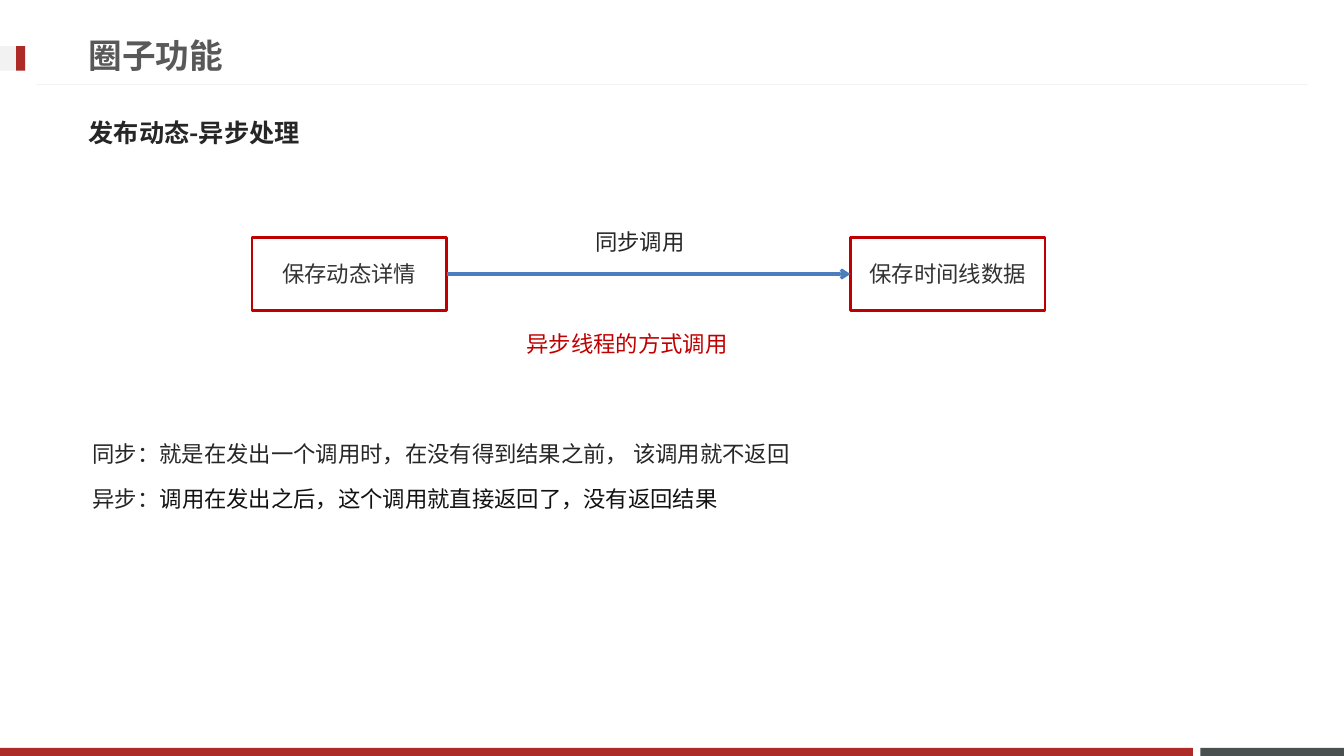
"""Build the slide on publishing posts with asynchronous processing."""
from lxml import etree
from pptx import Presentation
from pptx import util as u
from pptx.dml.color import RGBColor
from pptx.enum import lang, shapes, text
from pptx.oxml import ns

Pt = u.Pt
BRICK = RGBColor(0xAD, 0x2B, 0x26)
SLATE = RGBColor(0x49, 0x50, 0x4F)
PALE = RGBColor(0xF2, 0xF2, 0xF2)
GREY = RGBColor(0x59, 0x59, 0x59)
DARK = RGBColor(0x26, 0x26, 0x26)
BOX_TEXT = RGBColor(0x33, 0x33, 0x33)
INK = RGBColor(0x12, 0x12, 0x12)
RED = RGBColor(0xC0, 0x00, 0x00)
BLUE = RGBColor(0x4B, 0x7E, 0xBC)
CJK = "Noto Sans CJK JP"


def style(font, size, color, name=CJK, bold=False):
    font.size, font.bold, font.name = Pt(size), bold, name
    font.color.rgb = color
    font.language_id = lang.MSO_LANGUAGE_ID.SIMPLIFIED_CHINESE
    ea = etree.Element(ns.qn("a:ea"), typeface=CJK)
    font._element.find(ns.qn("a:latin")).addnext(ea)


def add_line(x1, y1, x2, y2, color, width):
    c = s.shapes.add_connector(
        shapes.MSO_CONNECTOR.STRAIGHT, Pt(x1), Pt(y1), Pt(x2), Pt(y2))
    c.line.color.rgb, c.line.width = color, Pt(width)
    etree.SubElement(c._element.spPr, ns.qn("a:effectLst"))
    return c


prs = Presentation()
prs.slide_width, prs.slide_height = Pt(960), Pt(540)
s = prs.slides.add_slide(prs.slide_layouts[3])

for x, y, w, h, color in [
    (857.5, 534.25, 102.5, 5.75, SLATE),
    (0, 534.25, 852, 5.75, BRICK),
    (0, 33, 18, 17.5, PALE),
    (11.5, 33, 6.5, 17.5, BRICK),
]:
    sp = s.shapes.add_shape(shapes.MSO_SHAPE.RECTANGLE, Pt(x), Pt(y), Pt(w), Pt(h))
    sp.shadow.inherit = False
    sp.fill.solid()
    sp.fill.fore_color.rgb = color
    sp.line.fill.background()
add_line(934.5, 60.25, 25.5, 60.25, PALE, 0.75)

title, subtitle, body = s.placeholders
for sp, x, y, w, h, anchor in [
    (title, 56.2, 18.7, 690.5, 41, text.MSO_ANCHOR.MIDDLE),
    (subtitle, 56.2, 74.2, 842.4, 41, text.MSO_ANCHOR.MIDDLE),
    (body, 59, 301, 842.4, 87, text.MSO_ANCHOR.TOP),
]:
    sp.left, sp.top, sp.width, sp.height = Pt(x), Pt(y), Pt(w), Pt(h)
    sp.text_frame.vertical_anchor = anchor
    sp.text_frame.auto_size = text.MSO_AUTO_SIZE.NONE

title.text_frame.text = "圈子功能"
subtitle.text_frame.text = "发布动态-异步处理"
body.text_frame.text = "同步：就是在发出一个调用时，在没有得到结果之前， 该调用就不返回\n异步："
p = title.text_frame.paragraphs[0]
p.alignment = text.PP_ALIGN.LEFT
style(p.font, 24, GREY, "Lato", True)
p = subtitle.text_frame.paragraphs[0]
style(p.font, 18, DARK, bold=True)
sync, later = body.text_frame.paragraphs
later.add_run().text = "调用在发出之后，这个调用就直接返回了，没有返回结果"
style(sync.font, 16, DARK)
for r, color, name in zip(later.runs, (DARK, INK), (CJK, "Arial")):
    style(r.font, 16, color, name)
for p in (sync, later):
    p.line_spacing, p.space_before = 1.5, Pt(3.2)
for p in (*subtitle.text_frame.paragraphs, sync, later):
    pPr = p._p.get_or_add_pPr()
    pPr.set("marL", "0")
    pPr.set("indent", "0")
    bullet = etree.Element(ns.qn("a:buNone"))
    pPr.insert_element_before(bullet, "a:tabLst", "a:defRPr", "a:extLst")

for x, label in [(180, "保存动态详情"), (607.5, "保存时间线数据")]:
    sp = s.shapes.add_shape(
        shapes.MSO_SHAPE.RECTANGLE, Pt(x), Pt(169.5), Pt(139), Pt(52.5))
    sp.shadow.inherit = False
    sp.fill.background()
    sp.line.color.rgb, sp.line.width = RED, Pt(2)
    tf = sp.text_frame
    tf.vertical_anchor = text.MSO_ANCHOR.MIDDLE
    tf.text = label
    p = tf.paragraphs[0]
    p.alignment = text.PP_ALIGN.CENTER
    style(p.font, 16, BOX_TEXT, "Calibri")

arrow = add_line(319, 195.75, 607.5, 195.75, BLUE, 2.25)
etree.SubElement(arrow.line._get_or_add_ln(), ns.qn("a:tailEnd"), type="arrow")

for x, y, w, label, color in [
    (418, 150, 104, "同步调用", DARK),
    (369, 222.5, 202, "异步线程的方式调用", RED),
]:
    tf = s.shapes.add_textbox(Pt(x), Pt(y), Pt(w), Pt(40)).text_frame
    tf.word_wrap = True
    tf.text = label
    p = tf.paragraphs[0]
    p.line_spacing, p.space_before = 1.5, Pt(3.2)
    style(p.font, 16, color)

prs.save("out.pptx")
